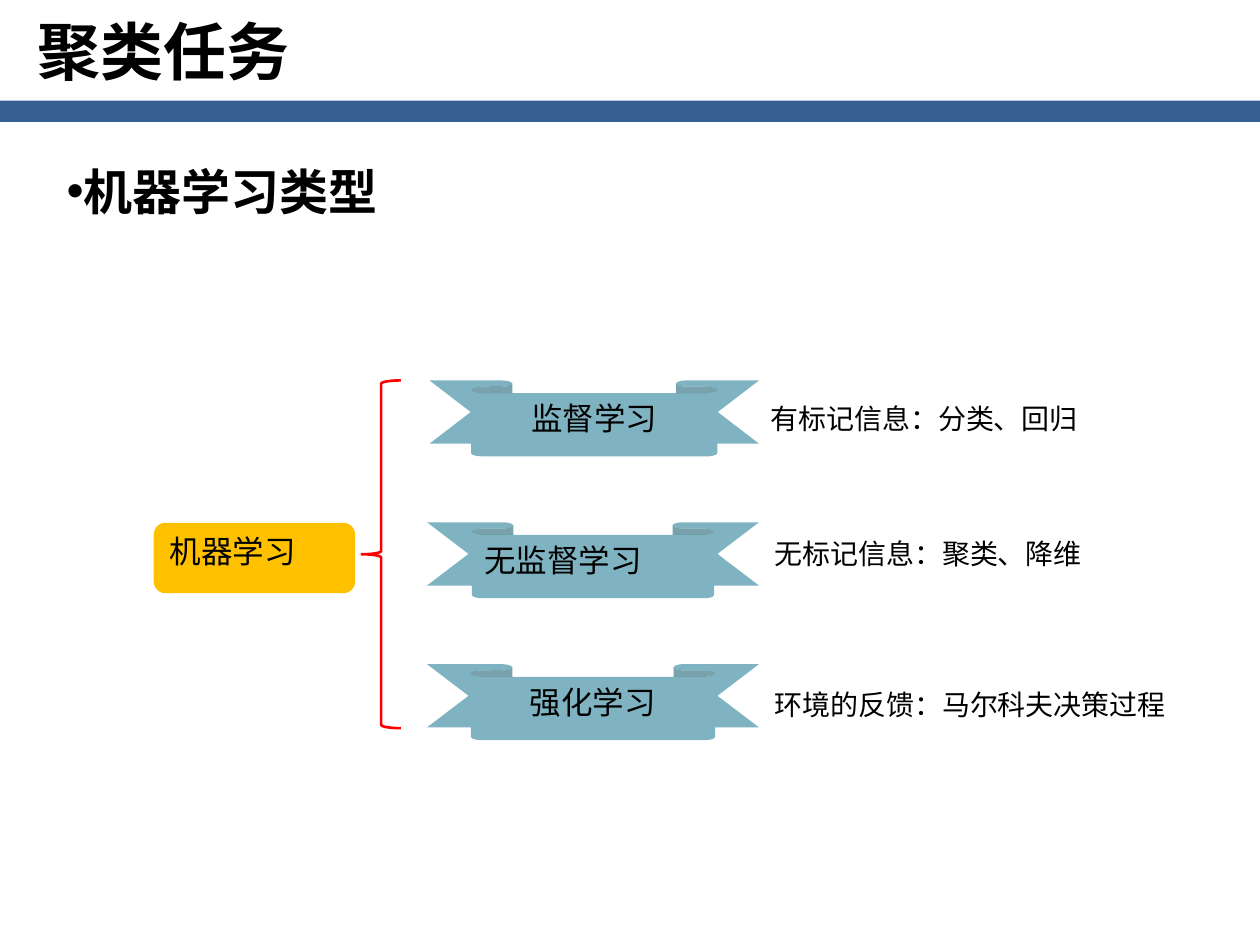
from lxml.etree import SubElement
from pptx import Presentation
from pptx.dml.color import RGBColor
from pptx.enum.shapes import MSO_SHAPE
from pptx.enum.text import MSO_ANCHOR, PP_ALIGN
from pptx.oxml.ns import qn
from pptx.util import Cm, Pt


def add_shape(kind, left, top, width, height, fill=None, alpha=100, line=None):
    sp = s.shapes.add_shape(kind, Cm(left), Cm(top), Cm(width), Cm(height))
    sp.shadow.inherit = False
    if fill:
        sp.fill.solid()
        sp.fill.fore_color.rgb = RGBColor.from_string(fill)
        if alpha < 100:
            clr = sp.fill._xPr.find(qn("a:solidFill"))[0]
            SubElement(clr, qn("a:alpha"), val=str(alpha * 1000))
    else:
        sp.fill.background()
    if line:
        sp.line.color.rgb = RGBColor.from_string(line)
        sp.line.width = Pt(1.5)
    else:
        sp.line.fill.background()
    return sp


def write(sp, text, size, font="Calibri", bold=False, align=PP_ALIGN.LEFT,
          bullet=None, wrap=True):
    tf = sp.text_frame
    tf.word_wrap = wrap
    tf.vertical_anchor = MSO_ANCHOR.TOP
    p = tf.paragraphs[0]
    p.alignment = align
    p.space_before = Pt(0)
    if bullet:
        SubElement(p._p.get_or_add_pPr(), qn("a:buChar"), char=bullet)
    r = p.add_run()
    r.text = text
    r.font.size = Pt(size)
    r.font.bold = bold
    r.font.name = font
    r.font.color.rgb = RGBColor.from_string("000000")
    SubElement(r._r.get_or_add_rPr(), qn("a:ea"), typeface="Noto Sans CJK SC")


prs = Presentation()
prs.slide_width, prs.slide_height = Cm(25.4), Cm(19.05)
s = prs.slides.add_slide(prs.slide_layouts[0])

add_shape(MSO_SHAPE.RECTANGLE, 0, 2.03, 25.4, 0.43, fill="376092")

title, body = s.placeholders
title.left, title.top, title.width, title.height = Cm(0.51), Cm(0.13), Cm(21.59), Cm(1.4)
write(title, "聚类任务", 36, font="Noto Sans CJK SC", bold=True)
body.left, body.top, body.width, body.height = Cm(1.09), Cm(3.12), Cm(23.19), Cm(14.6)
write(body, "机器学习类型", 28, font="Noto Sans CJK SC", bold=True, bullet="•")

root = add_shape(MSO_SHAPE.ROUNDED_RECTANGLE, 3.1, 10.54, 4.06, 1.42, fill="FFC000")
write(root, "机器学习", 18)
add_shape(MSO_SHAPE.LEFT_BRACE, 7.29, 7.67, 0.79, 7.01, line="FF0000")

# name, alignment, ribbon left, ribbon fold, note, note left, note top, note width
branches = [
    ("监督学习", PP_ALIGN.CENTER, 8.66, 0.747, "有标记信息：分类、回归", 15.29, 7.98, 6.78),
    ("无监督学习", PP_ALIGN.LEFT, 8.61, 0.73, "无标记信息：聚类、降维", 15.37, 10.69, 6.78),
    ("强化学习", PP_ALIGN.CENTER, 8.61, 0.736, "环境的反馈：马尔科夫决策过程", 15.37, 13.74, 8.48),
]
for i, (name, align, left, fold, note, note_left, note_top, note_width) in enumerate(branches):
    ribbon = add_shape(MSO_SHAPE.DOWN_RIBBON, left, 7.67 + 2.86 * i, 15.3 - left, 1.53,
                       fill="31859C", alpha=62)
    ribbon.adjustments[0], ribbon.adjustments[1] = 0.167, fold
    write(ribbon, name, 18, align=align)
    box = s.shapes.add_textbox(Cm(note_left), Cm(note_top), Cm(note_width), Cm(0.94))
    write(box, note, 16, wrap=False)

prs.save("out.pptx")
